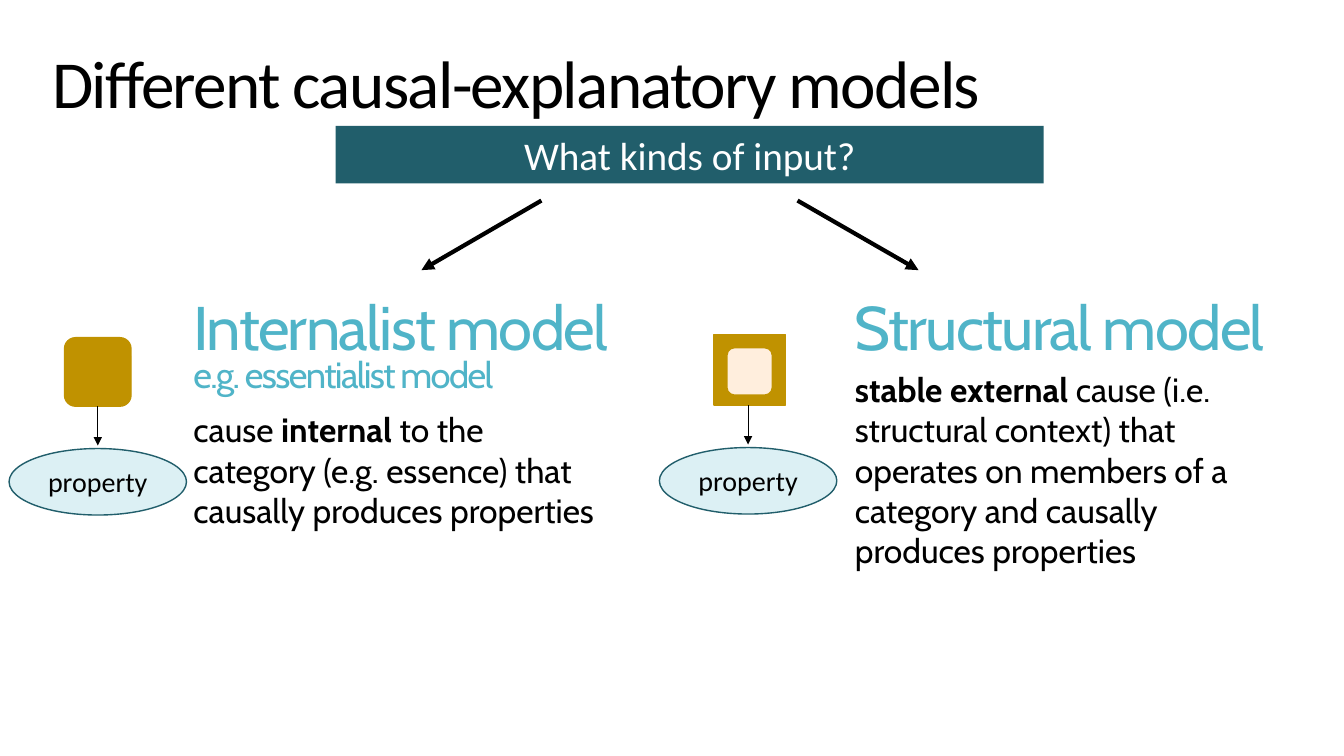
"""Builds the slide that contrasts internalist and structural causal models."""
import pptx
import pptx.util
import pptx.dml.color
import pptx.enum.shapes
import pptx.enum.text
import pptx.oxml
import pptx.oxml.ns

Inches, Pt = pptx.util.Inches, pptx.util.Pt
RGBColor = pptx.dml.color.RGBColor
Shape = pptx.enum.shapes.MSO_SHAPE
Anchor = pptx.enum.text.MSO_ANCHOR
Align = pptx.enum.text.PP_ALIGN

BLACK = RGBColor(0, 0, 0)
WHITE = RGBColor(255, 255, 255)
TEAL = RGBColor(0x21, 0x5E, 0x6B)
SKY = RGBColor(0x50, 0xB4, 0xC8)
PALE = RGBColor(0xDC, 0xF0, 0xF4)
GOLD = RGBColor(0xC0, 0x92, 0x00)
CREAM = RGBColor(0xFF, 0xEE, 0xDD)

deck = pptx.Presentation()
deck.slide_width, deck.slide_height = Inches(13.33), Inches(7.5)
slide = deck.slides.add_slide(deck.slide_layouts[6])
shapes = slide.shapes


def write(text, box, sizes=(24,), font="Cabin", color=BLACK, fill=None, edge=None,
          kind=None, anchor=Anchor.MIDDLE, align=Align.LEFT, space=None, track=0, pad=0.1):
    """Place a box or shape with one paragraph per size; *stars* mark bold words."""
    place = [Inches(n) for n in box]
    if kind is None:
        item = shapes.add_textbox(*place)
    else:
        item = shapes.add_shape(kind, *place)
        item.shadow.inherit = False
        item.fill.solid()
        item.fill.fore_color.rgb = fill
        if edge is None:
            item.line.fill.background()
        else:
            item.line.color.rgb = edge
            item.line.width = Pt(1)
    frame = item.text_frame
    frame.word_wrap = True
    frame.vertical_anchor = anchor
    frame.margin_left = frame.margin_right = Inches(pad)
    for row, (line, size) in enumerate(zip(text.split("\n"), sizes)):
        para = frame.add_paragraph() if row else frame.paragraphs[0]
        para.alignment = align
        para.line_spacing = space
        for part, words in enumerate(line.split("*")):
            if words:
                run = para.add_run()
                run.text = words
                run.font.name = font
                run.font.size = Pt(size)
                run.font.bold = part % 2 == 1
                run.font.color.rgb = color
                if track:
                    run.font._element.set("spc", str(int(track * 100)))


def arrow(start, end, width):
    """Draw a black line with a triangle head at its end."""
    line = shapes.add_connector(pptx.enum.shapes.MSO_CONNECTOR.STRAIGHT,
                                *[Inches(n) for n in start + end])
    line.line.color.rgb = BLACK
    line.line.width = Pt(width)
    head = pptx.oxml.parse_xml('<a:tailEnd %s type="triangle"/>' % pptx.oxml.ns.nsdecls("a"))
    line.line._get_or_add_ln().append(head)
    line._element.spPr.append(
        pptx.oxml.parse_xml("<a:effectLst %s/>" % pptx.oxml.ns.nsdecls("a")))


write("Different causal-explanatory models", (0.42, 0, 10.43, 1.61),
      sizes=(48,), font="Calibri", track=-1.2)
write("What kinds of input?", (3.33, 1.25, 7.02, 0.57), sizes=(28,), font="Calibri",
      color=WHITE, fill=TEAL, kind=Shape.RECTANGLE, anchor=Anchor.TOP, align=Align.CENTER)
arrow((5.37, 1.99), (4.18, 2.68), 3)
arrow((7.91, 1.99), (9.11, 2.68), 3)

write("Structural model", (8.38, 2.85, 4.94, 0.89), sizes=(44,), color=SKY,
      space=0.85, track=-1.2)
write("Internalist model\ne.g. essentialist model", (1.82, 2.95, 4.54, 1.06),
      sizes=(44, 26), color=SKY, space=0.75, track=-1.2)
write("cause *internal *to the category (e.g. essence) that causally produces properties",
      (1.82, 4.01, 4.31, 1.31), anchor=Anchor.TOP)
write("*stable external *cause (i.e. structural context) that operates on members of a "
      "category and causally produces properties",
      (8.38, 3.61, 4.32, 2.12), anchor=Anchor.TOP)

for kind, box, fill in (
    (Shape.ROUNDED_RECTANGLE, (0.64, 3.35, 0.66, 0.68), GOLD),
    (Shape.RECTANGLE, (7.08, 3.32, 0.71, 0.7), GOLD),
    (Shape.ROUNDED_RECTANGLE, (7.21, 3.45, 0.45, 0.47), CREAM),
):
    write("", box, kind=kind, fill=fill, edge=GOLD)

for mid, top in ((0.97, 4.03), (7.42, 4.02)):
    write("property", (mid - 0.88, top + 0.42, 1.76, 0.66), sizes=(20,), font="Calibri",
          kind=Shape.OVAL, fill=PALE, edge=TEAL, align=Align.CENTER, pad=0)
    arrow((mid, top), (mid, top + 0.39), 0.75)

deck.save("out.pptx")
